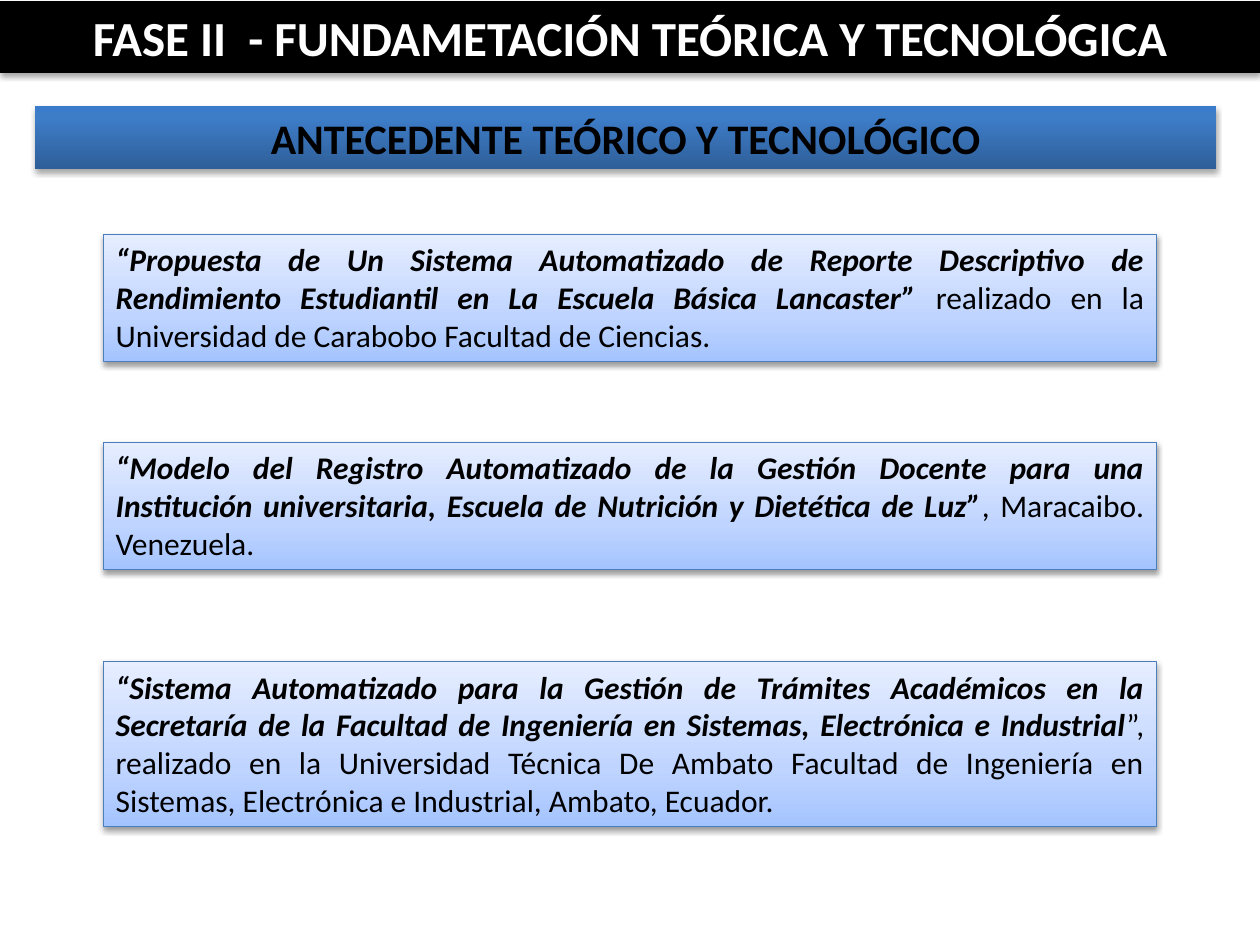
"""Build the slide on theoretical and technological background."""
from lxml import etree
from pptx import Presentation
from pptx.dml.color import RGBColor
from pptx.enum.shapes import MSO_SHAPE
from pptx.enum.text import MSO_ANCHOR, MSO_AUTO_SIZE, PP_ALIGN
from pptx.oxml.ns import qn
from pptx.util import Inches, Pt

RECT = MSO_SHAPE.RECTANGLE
TOP = MSO_ANCHOR.TOP
GROW = MSO_AUTO_SIZE.SHAPE_TO_FIT_TEXT
MID, EVEN = PP_ALIGN.CENTER, PP_ALIGN.JUSTIFY

THEME = {
    "font": "Calibri",
    "ink": "000000",
    "paper": "FFFFFF",
    "edge": "4B7EBC",
    "band": [(0, "2F5F99"), (80, "3D7CC7"), (100, "3A7CCB")],
    "card": [(0, "A4C4FF"), (35, "BFD4FF"), (100, "E6EEFF")],
    "title": 28,
    "head": 24,
    "body": 18,
}
FRAME = {"word_wrap": True, "auto_size": GROW, "vertical_anchor": TOP}
LEFT, WIDE = 8.2, 83.6

CARDS = [
    (24.8, 13.47,
     "“Propuesta de Un Sistema Automatizado de Reporte Descriptivo de "
     "Rendimiento Estudiantil en La Escuela Básica Lancaster” ",
     "realizado en la Universidad de Carabobo Facultad de Ciencias."),
    (46.8, 13.47,
     "“Modelo del Registro Automatizado de la Gestión Docente para una "
     "Institución universitaria, Escuela de Nutrición y Dietética de Luz”",
     ", Maracaibo. Venezuela."),
    (70, 17.47,
     "“Sistema Automatizado para la Gestión de Trámites Académicos en la "
     "Secretaría de la Facultad de Ingeniería en Sistemas, Electrónica e "
     "Industrial",
     "”, realizado en la Universidad Técnica De Ambato Facultad de "
     "Ingeniería en Sistemas, Electrónica e Industrial, Ambato, Ecuador. "),
]

deck = Presentation()
deck.slide_width, deck.slide_height = Inches(10), Inches(7.5)
slide = deck.slides.add_slide(deck.slide_layouts[6])


def tint(node, tag, color, alpha=None, **attrs):
    item = etree.SubElement(node, qn(tag), attrs)
    tone = etree.SubElement(item, qn("a:srgbClr"), val=color)
    if alpha:
        etree.SubElement(tone, qn("a:alpha"), val=str(alpha * 1000))


def panel(area, fill, runs, size, color, align, edge=None, drop=1.8, alpha=35):
    sides = (deck.slide_width, deck.slide_height) * 2
    box = slide.shapes.add_shape(
        RECT, *(int(side * part / 100) for side, part in zip(sides, area)))
    if isinstance(fill, str):
        box.fill.solid()
        box.fill.fore_color.rgb = RGBColor.from_string(fill)
    else:
        box.fill.gradient()
        box.fill.gradient_angle = 90
        stops = box._element.spPr.find(".//" + qn("a:gsLst"))
        for stop in list(stops):
            stops.remove(stop)
        for spot, tone in fill:
            tint(stops, "a:gs", tone, pos=str(spot * 1000))
    if edge:
        box.line.color.rgb = RGBColor.from_string(edge)
        box.line.width = Pt(0.75)
    else:
        box.line.fill.background()
    box.shadow.inherit = False
    tint(box._element.spPr.find(qn("a:effectLst")), "a:outerShdw",
         THEME["ink"], alpha, blurRad=str(Pt(3.1)), dist=str(Pt(drop)),
         dir="5400000", rotWithShape="0")
    for key, value in FRAME.items():
        setattr(box.text_frame, key, value)
    para = box.text_frame.paragraphs[0]
    para.alignment = align
    for text, bold, slant in runs:
        run = para.add_run()
        run.text = text
        look = {"name": THEME["font"], "size": Pt(size),
                "bold": bold, "italic": slant}
        for key, value in look.items():
            setattr(run.font, key, value)
        run.font.color.rgb = RGBColor.from_string(color)


panel((0, 0.13, 100, 7.6), THEME["ink"],
      [("FASE II  - FUNDAMETACIÓN TEÓRICA Y TECNOLÓGICA", True, False)],
      THEME["title"], THEME["paper"], MID)
panel((2.8, 11.2, 93.7, 6.67), THEME["band"],
      [("ANTECEDENTE TEÓRICO Y TECNOLÓGICO", True, False)],
      THEME["head"], THEME["ink"], MID)
for top, tall, work, place in CARDS:
    panel((LEFT, top, WIDE, tall), THEME["card"],
          [(work, True, True), (place, False, False)],
          THEME["body"], THEME["ink"], EVEN, THEME["edge"], 1.6, 38)

deck.save("out.pptx")
